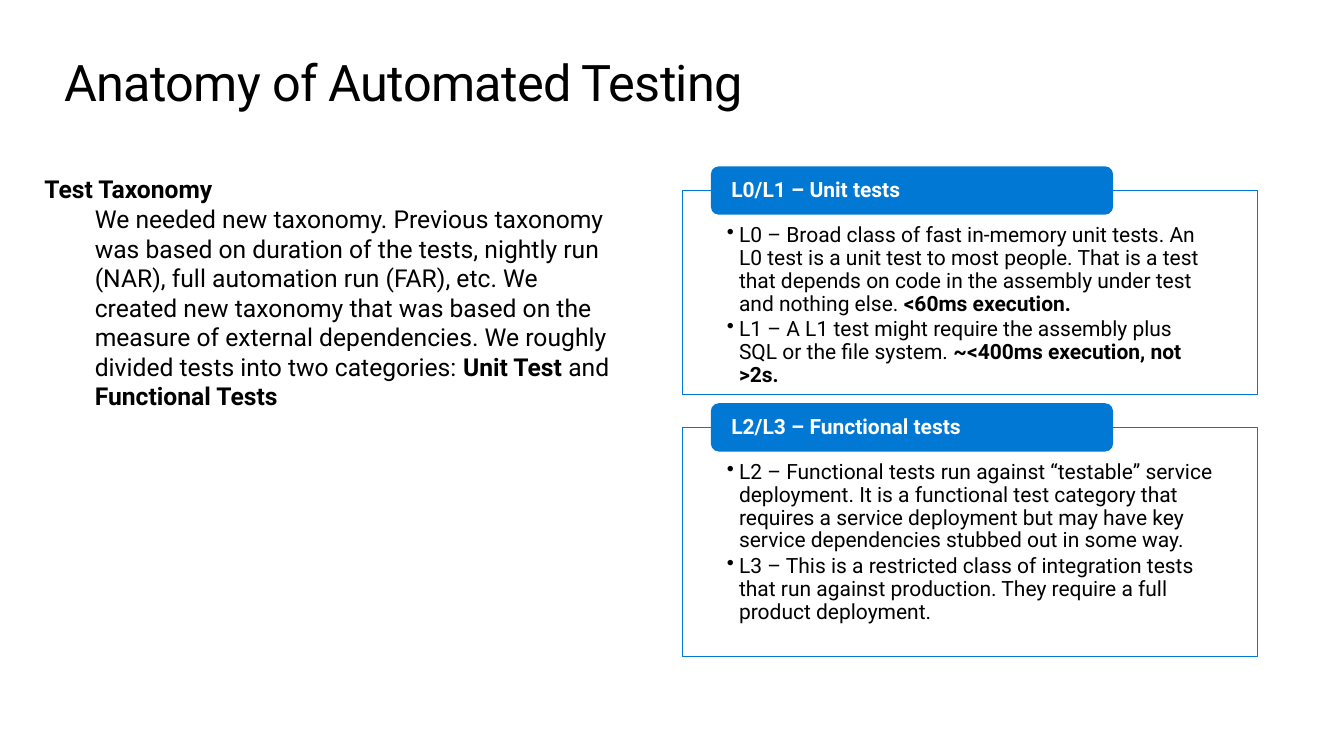
from lxml import etree
from pptx import Presentation
from pptx import util as u
from pptx.dml.color import RGBColor
from pptx.enum import shapes, text
from pptx.oxml.ns import qn

PX = 9144  # 100 px to the inch
BLUE = RGBColor(0x00, 0x78, 0xD4)
WHITE = RGBColor(0xFF, 0xFF, 0xFF)
BLACK = RGBColor(0, 0, 0)


def set_frame(tf, left, top, right, bottom, anchor):
    tf.word_wrap = True
    tf.auto_size = text.MSO_AUTO_SIZE.NONE
    tf.vertical_anchor = anchor
    tf.margin_left, tf.margin_top = left * PX, top * PX
    tf.margin_right, tf.margin_bottom = right * PX, bottom * PX


def add_runs(p, size, color, *parts):
    """Write (wording, bold) parts into a left-aligned paragraph."""
    p.alignment = text.PP_ALIGN.LEFT
    for wording, bold in parts:
        r = p.add_run()
        r.text = wording
        r.font.name, r.font.size, r.font.bold = "Roboto", u.Pt(size), bold
        r.font.color.rgb = color


prs = Presentation()
prs.slide_width, prs.slide_height = 1333 * PX, 750 * PX
s = prs.slides.add_slide(prs.slide_layouts[5])

# Title
title = s.shapes.title
title.left, title.top, title.width, title.height = 64 * PX, 50 * PX, 1205 * PX, 61 * PX
set_frame(title.text_frame, 0, 0, 0, 0, text.MSO_ANCHOR.MIDDLE)
p = title.text_frame.paragraphs[0]
add_runs(p, 36, BLACK, ("Anatomy of Automated Testing", False))
p.runs[0].font._element.set("spc", "-50")

# Taxonomy text on the left
tf = s.shapes.add_textbox(44 * PX, 173 * PX, 571 * PX, 500 * PX).text_frame
set_frame(tf, 0, 0, 0, 0, text.MSO_ANCHOR.TOP)
add_runs(tf.paragraphs[0], 17.6, BLACK, ("Test Taxonomy", True))
p = tf.add_paragraph()
p.level = 1
p._p.get_or_add_pPr().set("marL", str(50 * PX))
add_runs(
    p, 17.6, BLACK,
    ("We needed new taxonomy. Previous taxonomy was based on duration of the tests, "
     "nightly run (NAR), full automation run (FAR), etc. We created new taxonomy that "
     "was based on the measure of external dependencies. We roughly divided tests into "
     "two categories: ", False),
    ("Unit Test ", True), ("and ", False), ("Functional Tests", True))

# Test level cards: heading, top, height, bullets
cards = [
    ("L0/L1 – Unit tests", 189, 202, [
        [("L0 – Broad class of fast in-memory unit tests. An L0 test is a unit test to "
          "most people. That is a test that depends on code in the assembly under test "
          "and nothing else. ", False), ("<60ms execution.", True)],
        [("L1 – A L1 test might require the assembly plus SQL or the file system. ", False),
         ("~<400ms execution, not >2s.", True)],
    ]),
    ("L2/L3 – Functional tests", 424, 227, [
        [("L2 – Functional tests run against “testable” service deployment. It is a "
          "functional test category that requires a service deployment but may have key "
          "service dependencies stubbed out in some way.", False)],
        [("L3 – This is a restricted class of integration tests that run against "
          "production. They require a full product deployment.", False)],
    ]),
]
for heading, top, height, bullets in cards:
    # Outlined body
    body = s.shapes.add_shape(shapes.MSO_SHAPE.RECTANGLE,
                              677 * PX, top * PX, 570 * PX, height * PX)
    body.shadow.inherit = False
    body.fill.solid()
    body.fill.fore_color.rgb = WHITE
    color = body._element.spPr.find(qn("a:solidFill"))[0]
    etree.SubElement(color, qn("a:alpha")).set("val", "90000")
    body.line.color.rgb = BLUE
    body.line.width = u.Pt(0.75)
    tf = body.text_frame
    set_frame(tf, 44, 34, 44, 12, text.MSO_ANCHOR.TOP)
    for i, parts in enumerate(bullets):
        p = tf.add_paragraph() if i else tf.paragraphs[0]
        p.level = 1
        p.line_spacing = 0.9
        p.space_after = u.Pt(2.25)
        pPr = p._p.get_or_add_pPr()
        pPr.set("marL", str(12 * PX))
        pPr.set("indent", str(-12 * PX))
        etree.SubElement(pPr, qn("a:buChar")).set("char", "•")
        add_runs(p, 15, BLACK, *parts)

    # Heading tab over the top edge
    tab = s.shapes.add_shape(shapes.MSO_SHAPE.ROUNDED_RECTANGLE,
                             705 * PX, (top - 24) * PX, 399 * PX, 48 * PX)
    tab.shadow.inherit = False
    tab.fill.solid()
    tab.fill.fore_color.rgb = BLUE
    tab.line.fill.background()
    set_frame(tab.text_frame, 18, 0, 18, 0, text.MSO_ANCHOR.MIDDLE)
    p = tab.text_frame.paragraphs[0]
    p.line_spacing = 0.9
    add_runs(p, 15, WHITE, (heading, True))

prs.save("out.pptx")
